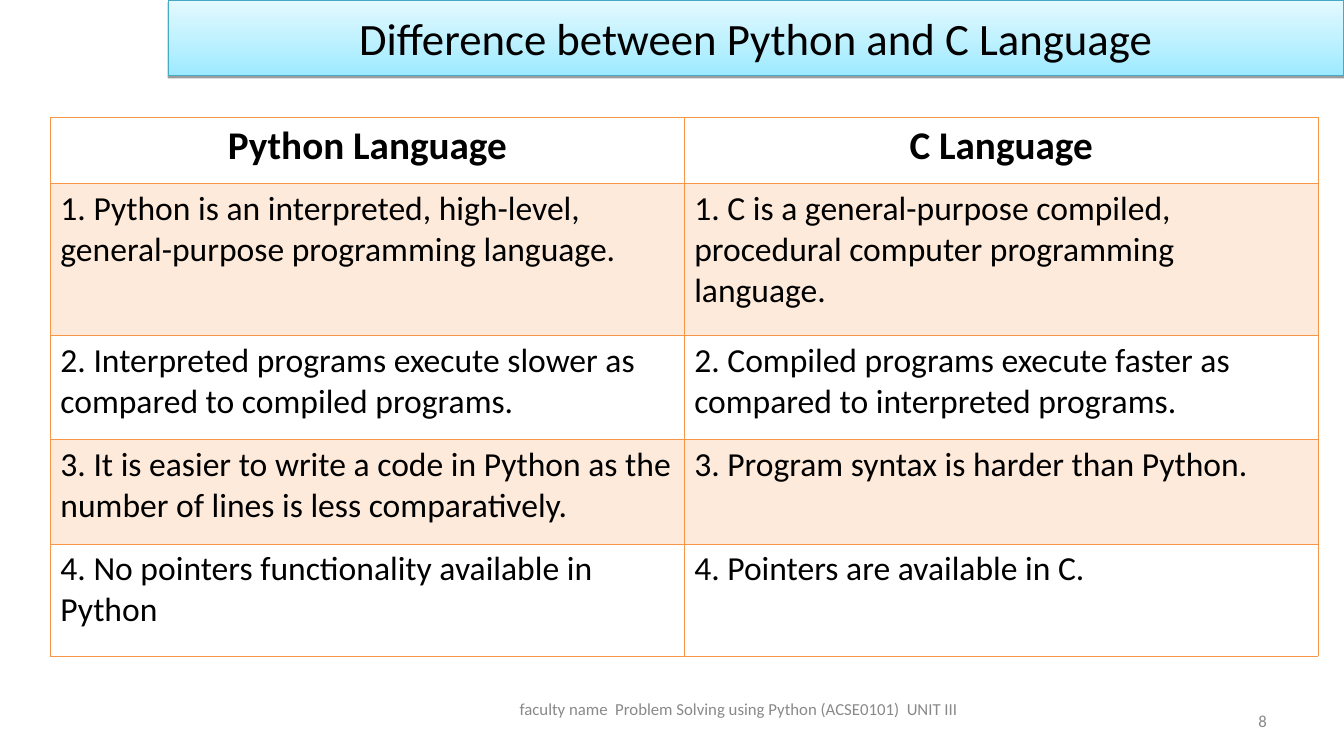
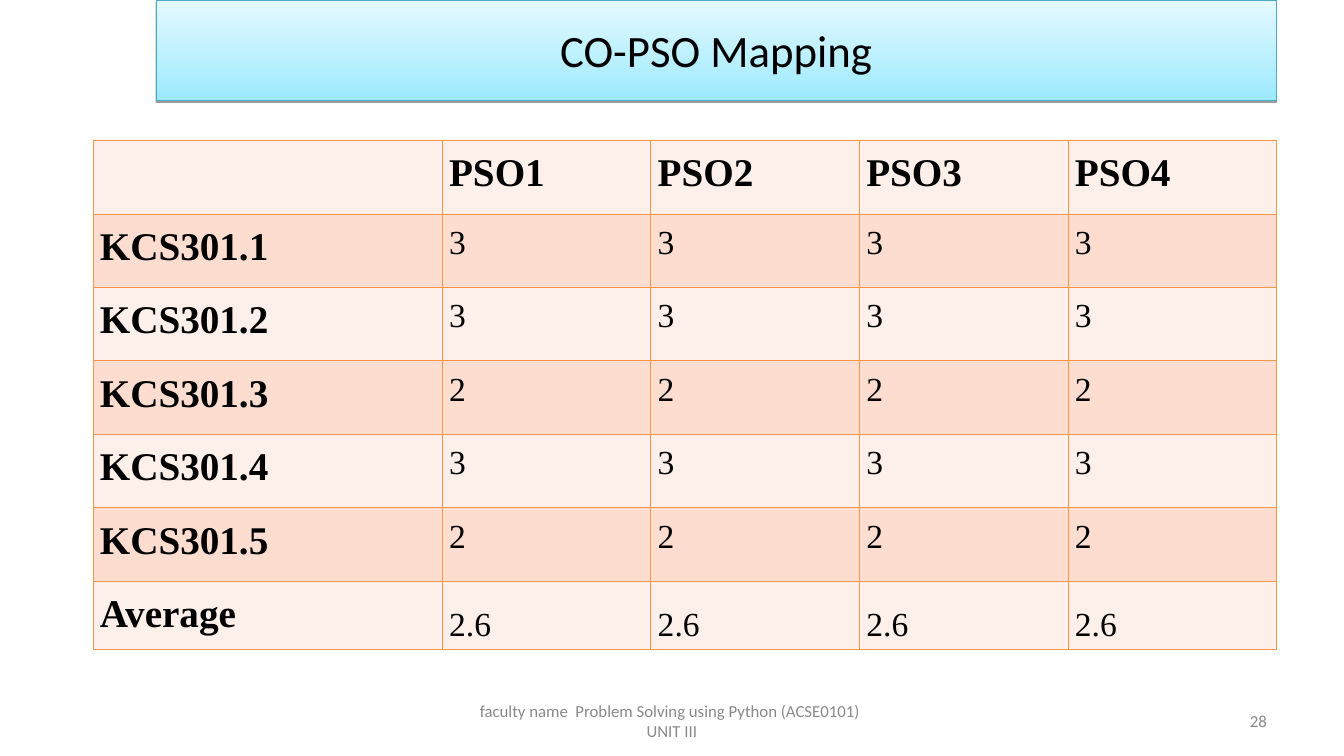
from lxml import etree
from pptx import Presentation
from pptx.dml.color import RGBColor
from pptx.enum import text as t
from pptx.oxml import ns, parse_xml
from pptx.util import Pt

INK, GREY, EDGE, RIM = "000000", "898989", "F79646", "46AAC5"
GLOW = ("9EEAFF", "E4F9FF")
PEACH, PALE, ROSE = "FDEADA", "FDEFE9", "FCDDCF"
SANS, SERIF = "Calibri", "Times New Roman"
LEFT, MID, RIGHT, JUST = (t.PP_ALIGN.LEFT, t.PP_ALIGN.CENTER,
                          t.PP_ALIGN.RIGHT, t.PP_ALIGN.JUSTIFY)
TOP, CORE, BASE = (t.MSO_ANCHOR.TOP, t.MSO_ANCHOR.MIDDLE,
                   t.MSO_ANCHOR.BOTTOM)
FOOT = "faculty name  Problem Solving using Python (ACSE0101)  UNIT III"

SHADE = (f'<a:effectLst {ns.nsdecls("a")}>'
         '<a:outerShdw blurRad="0" dist="20320" dir="5400000" rotWithShape="0">'
         '<a:srgbClr val="000000"><a:alpha val="38000"/></a:srgbClr>'
         '</a:outerShdw></a:effectLst>')

PAIRS = [
    ("Python Language", "C Language"),
    ("1. Python is an interpreted, high-level, general-purpose programming language.",
     "1. C is a general-purpose compiled, procedural computer programming language."),
    ("2. Interpreted programs execute slower as compared to compiled programs.",
     "2. Compiled programs execute faster as compared to interpreted programs."),
    ("3. It is easier to write a code in Python as the number of lines is less comparatively.",
     "3. Program syntax is harder than Python."),
    ("4. No pointers functionality available in Python",
     "4. Pointers are available in C."),
]
SCORES = [("KCS301.1", "3"), ("KCS301.2", "3"), ("KCS301.3", "2"),
          ("KCS301.4", "3"), ("KCS301.5", "2"), ("Average", "2.6")]


def hue(code):
    return RGBColor.from_string(code)


def pts(box):
    return [Pt(n) for n in box]


def put(item, **vals):
    for key, val in vals.items():
        setattr(item, key, val)


def write(frame, words, size, align=LEFT, face=SANS, color=INK, bold=False,
          space=None):
    para = frame.paragraphs[0]
    para.text = words
    put(para, alignment=align, line_spacing=space)
    put(para.font, name=face, size=Pt(size), bold=bold)
    para.font.color.rgb = hue(color)


def title(slide, box, words):
    band = slide.shapes.title
    put(band, **dict(zip(("left", "top", "width", "height"), pts(box))))
    band.fill.gradient()
    band.fill.gradient_angle = 90
    for stop, code in zip(band.fill.gradient_stops, GLOW):
        stop.color.rgb = hue(code)
    band.line.color.rgb = hue(RIM)
    band.line.width = Pt(0.75)
    band._element.spPr.append(parse_xml(SHADE))
    put(band.text_frame, word_wrap=True, vertical_anchor=CORE,
        auto_size=t.MSO_AUTO_SIZE.NONE)
    write(band.text_frame, words, 32, MID)


def note(slide, box, words, align):
    frame = slide.shapes.add_textbox(*pts(box)).text_frame
    put(frame, word_wrap=True, vertical_anchor=CORE)
    write(frame, words, 12, align, color=GREY)


def feet(slide, box, page):
    """Place the course line in its box, and the page number at the right."""
    note(slide, box, FOOT, MID)
    note(slide, (688.5, 500.5, 223.9, 28.8), page, RIGHT)


def rule(cell, **wides):
    """Draw the cell's borders; wides maps a side (L, R, T, B) to points."""
    props = cell._tc.get_or_add_tcPr()
    for side, wide in wides.items():
        line = etree.SubElement(props, ns.qn("a:ln" + side), w=str(Pt(wide)))
        fill = etree.SubElement(line, ns.qn("a:solidFill"))
        etree.SubElement(fill, ns.qn("a:srgbClr"), val=EDGE)


def grid(slide, spot, wides, highs, rows, fills, style, inset=7.2, head=0.45):
    """Build a table; style(row, col) gives the anchor and the text format."""
    frame = slide.shapes.add_table(len(highs), len(wides), *pts(spot),
                                   Pt(sum(wides)), Pt(sum(highs)))
    table = frame.table
    put(table, first_row=False, horz_banding=False)
    for col, wide in zip(table.columns, wides):
        col.width = Pt(wide)
    for r, (high, words) in enumerate(zip(highs, rows)):
        table.rows[r].height = Pt(high)
        for c, word in enumerate(words):
            cell = table.cell(r, c)
            rule(cell, L=0.45, R=0.45, T=head if r == 1 else 0.45,
                 B=head if r == 0 else 0.45)
            tone = fills[r % 2]
            if tone:
                cell.fill.solid()
                cell.fill.fore_color.rgb = hue(tone)
            else:
                cell.fill.background()
            anchor, form = style(r, c)
            put(cell, vertical_anchor=anchor, margin_left=Pt(inset),
                margin_right=Pt(inset))
            write(cell.text_frame, word, **form)


def versus(slide):
    def style(r, c):
        if r == 0:
            return TOP, dict(size=28, align=MID, bold=True)
        return TOP, dict(size=24)

    feet(slide, (342, 492, 372, 28.8), "8")
    title(slide, (120.2, 0, 840.2, 54), "Difference between Python and C Language")
    grid(slide, (36, 84), [453] * 2, [47, 108.5, 74.5, 74.5, 80], PAIRS,
         (None, PEACH), style, head=0.96)


def mapping(slide):
    def style(r, c):
        bold = r == 0 or c == 0
        form = dict(size=28 if bold else 24, bold=bold, face=SERIF,
                    align=LEFT if r else JUST, space=1.15)
        return (BASE if r == len(SCORES) and c else TOP), form

    rows = [[""] + [f"PSO{n}" for n in range(1, 5)]]
    rows += [[name] + [score] * 4 for name, score in SCORES]
    grid(slide, (66.4, 100.2), [249.6] + [149.1] * 4, [52.5] * 6 + [48.5], rows,
         (PALE, ROSE), style, inset=5)
    feet(slide, (328.2, 500.5, 304, 28.8), "28")
    title(slide, (111.6, 0, 800.6, 71.5), "CO-PSO Mapping")


def main():
    deck = Presentation()
    put(deck, slide_width=Pt(960.5), slide_height=Pt(540))
    for build in (versus, mapping):
        build(deck.slides.add_slide(deck.slide_layouts[5]))
    deck.save("out.pptx")


if __name__ == "__main__":
    main()
